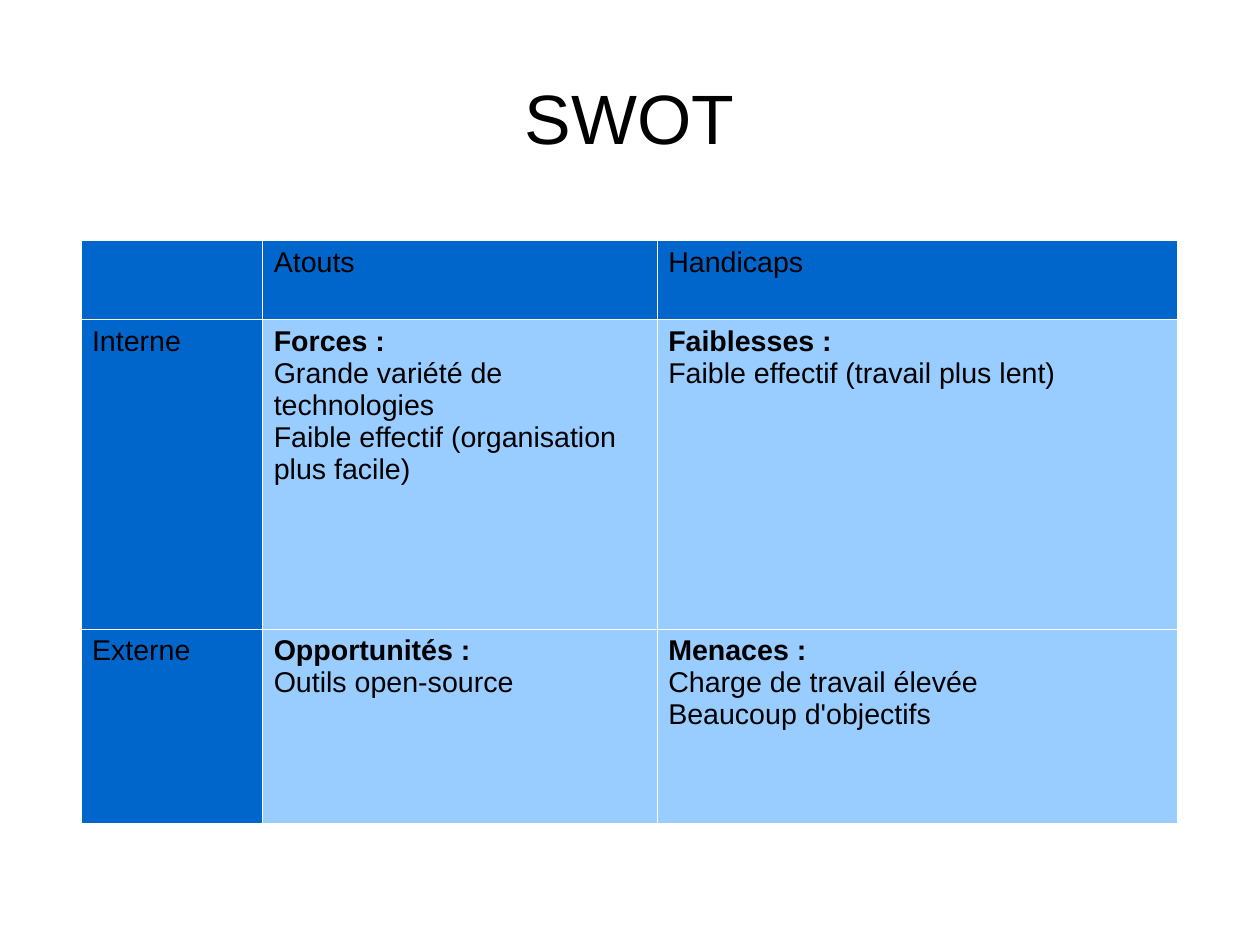
import pptx
import pptx.dml.color
import pptx.enum.text
import pptx.oxml
import pptx.oxml.ns
import pptx.util

Pt = pptx.util.Pt
FONT = "Arial"
BLACK, WHITE, HEADER_BLUE, BODY_BLUE = "000000", "FFFFFF", "0066CC", "99CCFF"
COLUMN_WIDTHS = [114.5, 248.5, 327.5]
ROW_HEIGHTS = [49.7, 195.1, 122.4]
SWOT_CELLS = [
    [[], ["Atouts"], ["Handicaps"]],
    [
        ["Interne"],
        [
            "Forces\u00a0:",
            "Grande variété de technologies",
            "Faible effectif (organisation plus facile)",
        ],
        ["Faiblesses\u00a0:", "Faible effectif (travail plus lent)"],
    ],
    [
        ["Externe"],
        ["Opportunités\u00a0:", "Outils open-source"],
        ["Menaces\u00a0:", "Charge de travail élevée", "Beaucoup d'objectifs"],
    ],
]


def color(hex_string):
    """Return the colour for a hex string."""
    return pptx.dml.color.RGBColor.from_string(hex_string)


def set_attributes(target, values):
    """Set each named value on the target."""
    for name, value in values.items():
        setattr(target, name, value)


def write_paragraphs(text_frame, lines, size, alignment, bold_first=False):
    """Write one paragraph per line, with the first one bold on request."""
    for index, line in enumerate(lines):
        paragraph = text_frame.paragraphs[0] if index == 0 else text_frame.add_paragraph()
        paragraph.alignment = alignment
        run = paragraph.add_run()
        run.text = line
        bold = bold_first and index == 0
        set_attributes(run.font, {"name": FONT, "size": Pt(size), "bold": bold})
        run.font.color.rgb = color(BLACK)


def add_borders(cell, hex_string, width):
    """Draw a solid line on all four sides of a cell."""
    properties = cell._tc.get_or_add_tcPr()
    for side in ("lnL", "lnR", "lnT", "lnB"):
        properties.append(pptx.oxml.parse_xml(
            f'<a:{side} {pptx.oxml.ns.nsdecls("a")} w="{Pt(width)}"><a:solidFill>'
            f'<a:srgbClr val="{hex_string}"/></a:solidFill></a:{side}>'
        ))


def place_title(slide, text, left, top, width, height):
    """Place the centred title in its box."""
    title = slide.shapes.title
    set_attributes(title, {
        "left": Pt(left), "top": Pt(top), "width": Pt(width), "height": Pt(height),
    })
    set_attributes(title.text_frame, {
        "margin_left": 0, "margin_top": 0, "margin_right": 0, "margin_bottom": 0,
        "word_wrap": True,
        "auto_size": pptx.enum.text.MSO_AUTO_SIZE.NONE,
        "vertical_anchor": pptx.enum.text.MSO_ANCHOR.MIDDLE,
    })
    write_paragraphs(title.text_frame, [text], 44, pptx.enum.text.PP_ALIGN.CENTER)


def place_swot_table(slide, left, top, width, height):
    """Place the SWOT grid, sharing the box by column and row proportions."""
    table = slide.shapes.add_table(
        len(ROW_HEIGHTS), len(COLUMN_WIDTHS), Pt(left), Pt(top), Pt(width), Pt(height)
    ).table
    for column, share in zip(table.columns, COLUMN_WIDTHS):
        column.width = Pt(width * share / sum(COLUMN_WIDTHS))
    for row, share in zip(table.rows, ROW_HEIGHTS):
        row.height = Pt(height * share / sum(ROW_HEIGHTS))
    for row_index, row_cells in enumerate(SWOT_CELLS):
        for column_index, lines in enumerate(row_cells):
            cell = table.cell(row_index, column_index)
            is_header = row_index == 0 or column_index == 0
            add_borders(cell, WHITE, 0.06)
            cell.fill.solid()
            cell.fill.fore_color.rgb = color(HEADER_BLUE if is_header else BODY_BLUE)
            set_attributes(cell, {
                "margin_left": Pt(7.2), "margin_right": Pt(7.2),
                "margin_top": Pt(3.6), "margin_bottom": Pt(3.6),
                "vertical_anchor": pptx.enum.text.MSO_ANCHOR.TOP,
            })
            write_paragraphs(
                cell.text_frame, lines, 18, pptx.enum.text.PP_ALIGN.LEFT, not is_header
            )


def main():
    """Build and save the SWOT slide."""
    presentation = pptx.Presentation()
    set_attributes(presentation, {"slide_width": Pt(793.7), "slide_height": Pt(595.3)})
    slide = presentation.slides.add_slide(presentation.slide_layouts[5])
    slide.background.fill.solid()
    slide.background.fill.fore_color.rgb = color(WHITE)
    place_title(slide, "SWOT", 39.6, 23.8, 714.2, 99.4)
    place_swot_table(slide, 50.8, 151.5, 690.5, 367.2)
    presentation.save("out.pptx")


main()
